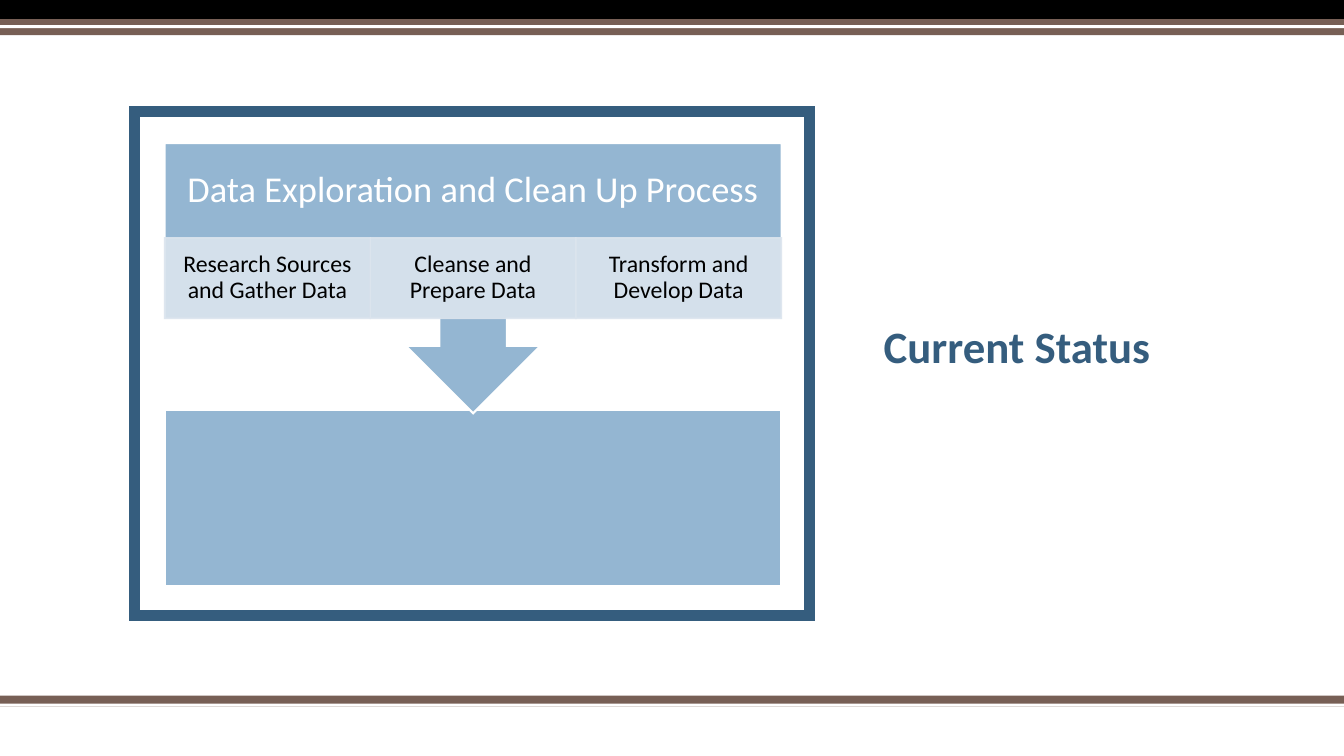
from lxml import etree
from pptx import Presentation
from pptx.dml.color import RGBColor
from pptx.enum.shapes import MSO_SHAPE
from pptx.enum.text import MSO_ANCHOR, PP_ALIGN
from pptx.oxml.ns import qn
from pptx.util import Inches, Pt

RECT, CALLOUT = MSO_SHAPE.RECTANGLE, MSO_SHAPE.UP_ARROW_CALLOUT
MIDDLE, BOTTOM = MSO_ANCHOR.MIDDLE, MSO_ANCHOR.BOTTOM
LEFT, CENTER = PP_ALIGN.LEFT, PP_ALIGN.CENTER
TITLE_ONLY = 5
COLORS = {"navy": "355D7E", "blue": "94B6D2", "pale": "DCE5EE",
          "brown": "775F55", "white": "FFFFFF", "black": "000000"}
COLUMNS, ROWS = 40, 30


class SlideBuilder:
    """Places elements by column and row, in one shared style."""

    font = "Calibri"

    def __init__(self, deck):
        self.page = deck.slides.add_slide(deck.slide_layouts[TITLE_ONLY])
        self.column = deck.slide_width / COLUMNS
        self.row = deck.slide_height / ROWS

    def place(self, left, top, width, height):
        return (round(left * self.column), round(top * self.row),
                round(width * self.column), round(height * self.row))

    def paint(self, fill, color, opacity):
        fill.solid()
        fill.fore_color.rgb = RGBColor.from_string(COLORS[color])
        if opacity < 100:
            tone = fill._xPr.find(qn("a:solidFill"))[0]
            etree.SubElement(tone, qn("a:alpha"), val=str(opacity * 1000))

    def shape(self, area, fill=None, line=None, weight=1, kind=RECT, opacity=100):
        box = self.page.shapes.add_shape(kind, *self.place(*area))
        box.shadow.inherit = False
        if fill:
            self.paint(box.fill, fill, opacity)
        else:
            box.fill.background()
        if line:
            box.line.width = Pt(weight)
            self.paint(box.line.fill, line, opacity)
            etree.SubElement(box.line._get_or_add_ln(), qn("a:miter"), lim="800000")
        else:
            box.line.fill.background()
        return box

    def add_text(self, box, text, size, color, bold=False, align=CENTER,
                 anchor=MIDDLE, insets=(0.1, 0.05)):
        frame = box.text_frame
        frame.word_wrap = True
        frame.vertical_anchor = anchor
        frame.margin_left = frame.margin_right = Inches(insets[0])
        frame.margin_top = frame.margin_bottom = Inches(insets[1])
        para = frame.paragraphs[0]
        para.alignment = align
        para.line_spacing = 0.9
        span = para.add_run()
        span.text = text
        span.font.name = self.font
        span.font.size = Pt(size)
        span.font.bold = bold
        span.font.color.rgb = RGBColor.from_string(COLORS[color])

    def label(self, area, text, size, color, **style):
        box = self.page.shapes.add_textbox(*self.place(*area))
        self.add_text(box, text, size, color, **style)

    def title(self, area, text, size, color):
        box = self.page.shapes.title
        box.left, box.top, box.width, box.height = self.place(*area)
        self.add_text(box, text, size, color, bold=True, align=LEFT, anchor=BOTTOM)


deck = Presentation()
deck.slide_width, deck.slide_height = Inches(13.33), Inches(7.5)
slide = SlideBuilder(deck)

# Bands across the bottom and top
for top, height, color in [(27.6, 0.44, "brown"), (27.92, 0.12, "white"),
                           (0, 0.76, "black"), (0.76, 0.64, "brown"),
                           (1, 0.12, "white")]:
    slide.shape((0, top, COLUMNS, height), color)

# Frame and title
slide.shape((4, 4.44, 20.1, 20), line="navy", weight=8)
slide.title((26, 6, 10.26, 9), "Current Status", 32, "navy")

# Process: lower block, then the callout pointing down to it
left, width, top = 4.9, 18.36, 5.68
slide.shape((left, 16.28, width, 6.96), "blue", "white", 1.5)
callout = slide.shape((left, top, width, 10.72), "blue", "white", 1.5, CALLOUT)
callout.rotation = 180
slide.label((left, top, width, 3.76), "Data Exploration and Clean Up Process",
            26, "white", insets=(0.2, 0.2))

# Steps in equal columns
steps = ["Research Sources and Gather Data", "Cleanse and Prepare Data",
         "Transform and Develop Data"]
step_width = width / len(steps)
for index, step in enumerate(steps):
    box = slide.shape((left + index * step_width, 9.44, step_width, 3.2),
                      "pale", "pale", opacity=90)
    slide.add_text(box, step, 17, "black", insets=(0.13, 0.02))

deck.save("out.pptx")
